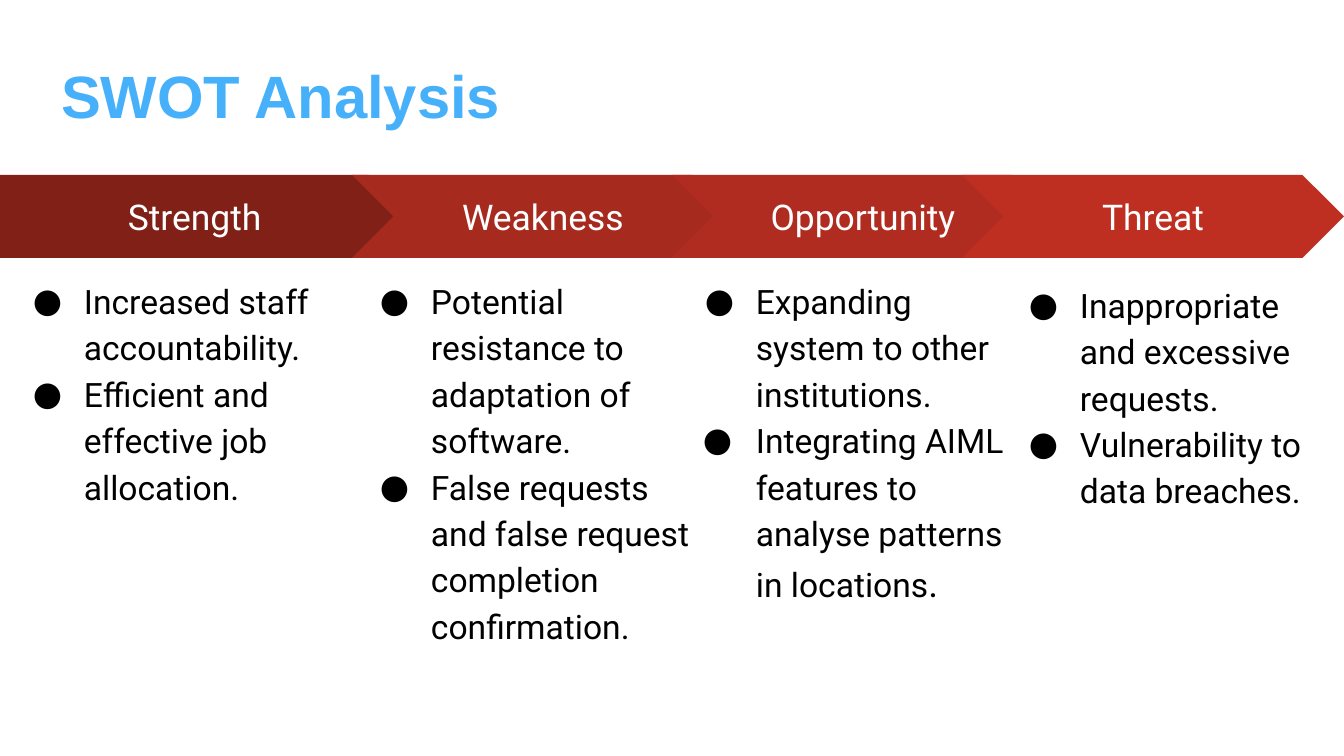
from dataclasses import dataclass

from lxml import etree
from pptx import Presentation
from pptx import util as u
from pptx.dml import color
from pptx.enum import shapes, text
from pptx.oxml import ns

SCALE = u.Inches(10) / 1344


@dataclass(frozen=True)
class Theme:
    title: str = "46B0FA"
    body: str = "000000"
    label: str = "FFFFFF"
    strength: str = "802017"
    weakness: str = "A72A1E"
    opportunity: str = "B02C20"
    threat: str = "BE2F22"
    title_font: str = "Arial"
    body_font: str = "Roboto"
    title_size: int = 32
    label_size: int = 19
    body_size: int = 18
    stop_size: int = 20


THEME = Theme()
ARROW_TOP, ARROW_HEIGHT, PADDING = 175, 83, 17
BULLET_INDENT = 67

COLUMNS = [
    ("Strength", THEME.strength, (0, 410), (0, 258, 372, 324),
     [("Increased staff accountability.", "", 51),
      ("Efficient and effective job allocation.", "", 51)]),
    ("Weakness", THEME.weakness, (352, 382), (347, 258, 382, 417),
     [("Potential resistance to adaptation of software.", "", 51),
      ("False requests and false request completion confirmation.", "", 51)]),
    ("Opportunity", THEME.opportunity, (672, 382), (672, 258, 367, 460),
     [("Expanding system to other institutions.", "", 51),
      ("Integrating AIML features to analyse patterns in locations", ".", 53)]),
    ("Threat", THEME.threat, (962, 382), (996, 262, 360, 324),
     [("Inappropriate and excessive requests.", "", 51),
      ("Vulnerability to data breaches.", "", 51)]),
]


def px(pixels):
    return u.Emu(round(pixels * SCALE))


def rgb(value):
    return color.RGBColor.from_string(value)


def set_font(font, name, size, value, bold=False):
    font.name, font.size, font.bold = name, u.Pt(size), bold
    font.color.rgb = rgb(value)


def set_padding(frame, horizontal, vertical):
    frame.margin_left = frame.margin_right = px(horizontal)
    frame.margin_top = frame.margin_bottom = px(vertical)
    frame.word_wrap = True


def add_bullet(paragraph, hang):
    properties = paragraph._p.get_or_add_pPr()
    properties.set("marL", str(px(BULLET_INDENT)))
    properties.set("indent", str(-px(hang)))
    defaults = properties.find(ns.qn("a:defRPr"))
    bullet_color = etree.Element(ns.qn("a:buClr"))
    etree.SubElement(bullet_color, ns.qn("a:srgbClr"), val=THEME.body)
    defaults.addprevious(bullet_color)
    defaults.addprevious(etree.Element(ns.qn("a:buFont"), typeface=THEME.body_font))
    defaults.addprevious(etree.Element(ns.qn("a:buChar"), char="●"))


def place_title(slide, box):
    title = slide.shapes.title
    title.left, title.top, title.width, title.height = map(px, box)
    frame = title.text_frame
    frame.text = "SWOT Analysis"
    set_padding(frame, 13, 7)
    frame.vertical_anchor = text.MSO_ANCHOR.TOP
    frame.auto_size = text.MSO_AUTO_SIZE.SHAPE_TO_FIT_TEXT
    paragraph = frame.paragraphs[0]
    paragraph.alignment = text.PP_ALIGN.LEFT
    set_font(paragraph.font, THEME.title_font, THEME.title_size, THEME.title, True)


def add_arrow(group, kind, box, label, fill):
    arrow = group.shapes.add_shape(kind, *map(px, box))
    arrow.adjustments[0] = 0.5
    arrow.shadow.inherit = False
    arrow.fill.solid()
    arrow.fill.fore_color.rgb = rgb(fill)
    arrow.line.fill.background()
    frame = arrow.text_frame
    frame.text = label
    set_padding(frame, PADDING, PADDING)
    frame.vertical_anchor = text.MSO_ANCHOR.MIDDLE
    paragraph = frame.paragraphs[0]
    paragraph.alignment = text.PP_ALIGN.CENTER
    set_font(paragraph.font, THEME.body_font, THEME.label_size, THEME.label)


def add_points(group, box, points):
    frame = group.shapes.add_textbox(*map(px, box)).text_frame
    set_padding(frame, PADDING, PADDING)
    for index, (words, stop, hang) in enumerate(points):
        paragraph = frame.add_paragraph() if index else frame.paragraphs[0]
        paragraph.line_spacing = 1.15
        set_font(paragraph.font, THEME.body_font, THEME.body_size, THEME.body)
        add_bullet(paragraph, hang)
        paragraph.add_run().text = words
        if stop:
            run = paragraph.add_run()
            run.text = stop
            run.font.size = u.Pt(THEME.stop_size)


def add_column(slide, kind, label, fill, span, box, points):
    group = slide.shapes.add_group_shape()
    left, width = span
    add_arrow(group, kind, (left, ARROW_TOP, width, ARROW_HEIGHT), label, fill)
    add_points(group, box, points)


def build_swot(presentation):
    slide = presentation.slides.add_slide(presentation.slide_layouts[5])
    place_title(slide, (48, 52, 1107, 86))
    for index, column in enumerate(COLUMNS):
        kind = shapes.MSO_SHAPE.CHEVRON if index else shapes.MSO_SHAPE.PENTAGON
        add_column(slide, kind, *column)


presentation = Presentation()
presentation.slide_width, presentation.slide_height = px(1344), px(756)
build_swot(presentation)
presentation.save("out.pptx")
